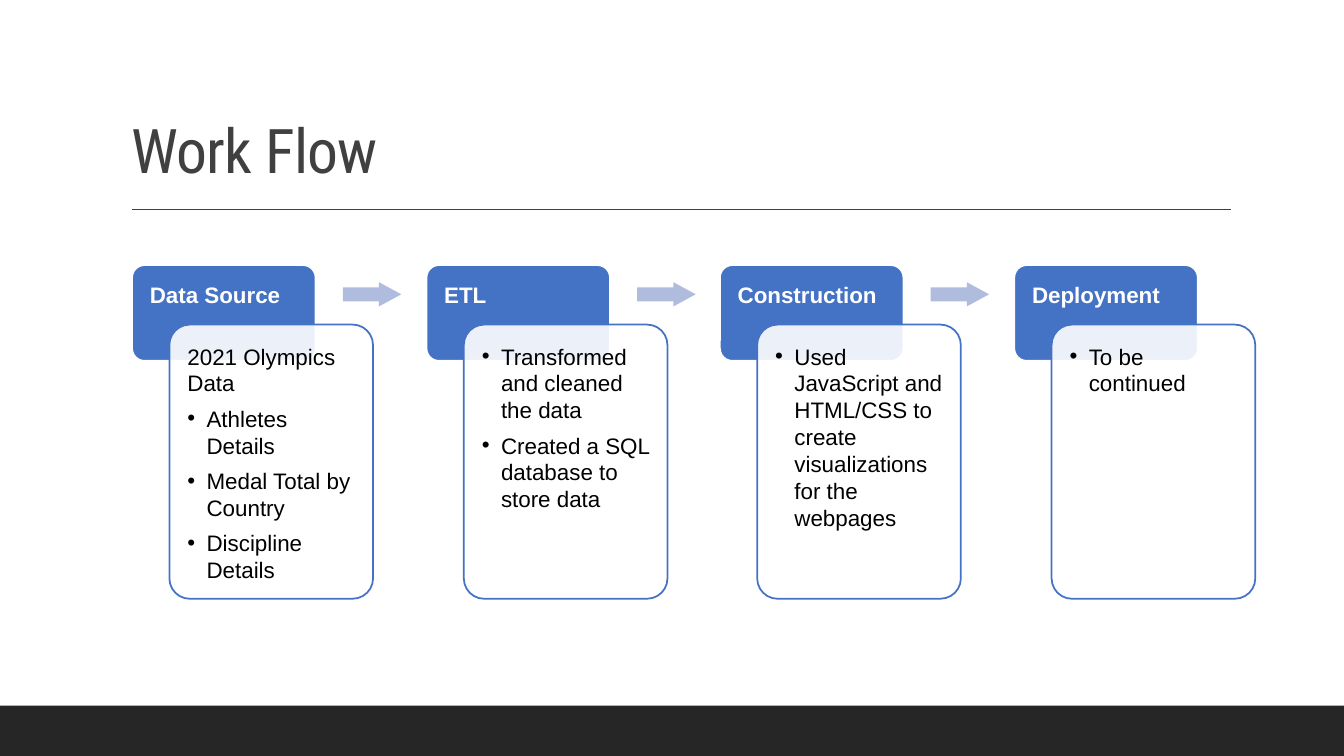
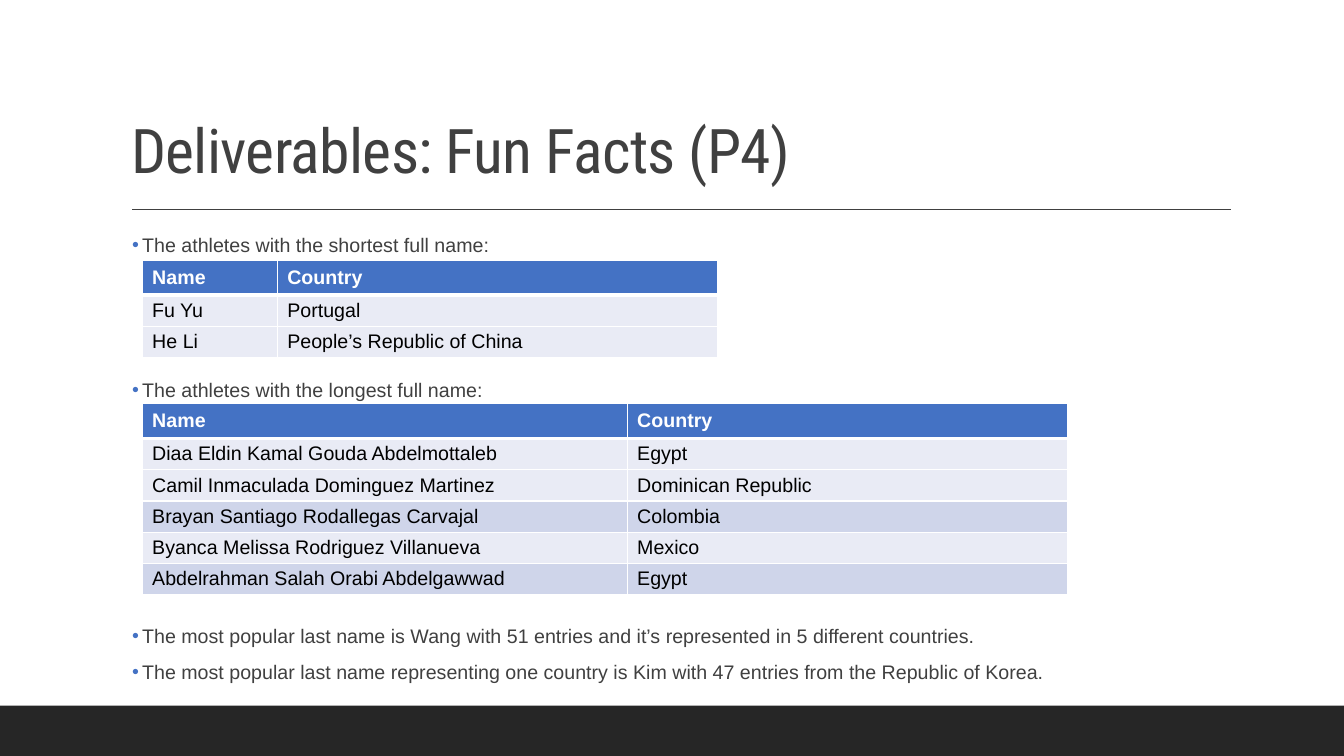
from dataclasses import dataclass

from lxml.etree import SubElement
from pptx import Presentation
from pptx.dml.color import RGBColor
from pptx.enum.shapes import MSO_CONNECTOR, MSO_SHAPE
from pptx.enum.text import MSO_ANCHOR, MSO_AUTO_SIZE, PP_ALIGN
from pptx.oxml.ns import qn
from pptx.util import Emu, Pt


@dataclass(frozen=True)
class Theme:
    accent: str = "4472C4"
    arrow: str = "B0BCDE"
    ink: str = "404040"
    band: str = "262626"
    black: str = "000000"
    white: str = "FFFFFF"
    row_light: str = "E9EBF5"
    row_dark: str = "CFD5EA"
    title_font: str = "Roboto Condensed"
    body_font: str = "Arial"
    title_size: int = 44
    card_size: int = 16
    body_size: int = 14


T = Theme()
SLIDE_W, SLIDE_H = 1333, 750

STEPS = [
    ("Data Source", [("2021 Olympics Data", False), ("Athletes Details", True),
                     ("Medal Total by Country", True), ("Discipline Details", True)]),
    ("ETL", [("Transformed and cleaned the data", True),
             ("Created a SQL database to store data", True)]),
    ("Construction", [("Used JavaScript and HTML/CSS to create visualizations "
                       "for the webpages", True)]),
    ("Deployment", [("To be continued", True)]),
]

# Each fact with the space before it, in points; the wide gaps hold the tables
FACTS = [
    ("The athletes with the shortest full name:", 0),
    ("The athletes with the longest full name:", 84),
    ("The most popular last name is Wang with 51 entries and it’s represented "
     "in 5 different countries.", 155),
    ("The most popular last name representing one country is Kim with 47 entries "
     "from the Republic of Korea.", 6),
]

SHORTEST = [("Name", "Country"), ("Fu Yu", "Portugal"),
            ("He Li", "People’s Republic of China")]
LONGEST = [
    ("Name", "Country"),
    ("Diaa Eldin Kamal Gouda Abdelmottaleb", "Egypt"),
    ("Camil Inmaculada Dominguez Martinez", "Dominican Republic"),
    ("Brayan Santiago Rodallegas Carvajal", "Colombia"),
    ("Byanca Melissa Rodriguez Villanueva", "Mexico"),
    ("Abdelrahman Salah Orabi Abdelgawwad", "Egypt"),
]


# Helpers
def px(n):
    return Emu(n * 9144)


def box(*lengths):
    return [px(n) for n in lengths]


def rgb(color):
    return RGBColor.from_string(color)


def add_run(p, text, size, color, font=T.body_font, bold=False):
    r = p.add_run()
    r.text = text
    r.font.name, r.font.size, r.font.bold = font, Pt(size), bold
    r.font.color.rgb = rgb(color)
    return r


def set_bullet(p, indent, color):
    pPr = p._p.get_or_add_pPr()
    pPr.set("marL", str(px(indent)))
    pPr.set("indent", str(-px(indent)))
    clr = SubElement(pPr, qn("a:buClr"))
    SubElement(clr, qn("a:srgbClr"), val=color)
    SubElement(pPr, qn("a:buFont"), typeface=T.body_font)
    SubElement(pPr, qn("a:buChar"), char="•")


def set_insets(tf, left, top, right, bottom):
    tf.margin_left, tf.margin_top, tf.margin_right, tf.margin_bottom = box(
        left, top, right, bottom)


def add_box(s, kind, bounds, fill, line=None, adjust=()):
    sp = s.shapes.add_shape(kind, *box(*bounds))
    sp.shadow.inherit = False
    for i, value in enumerate(adjust):
        sp.adjustments[i] = value
    sp.fill.solid()
    sp.fill.fore_color.rgb = rgb(fill)
    if line:
        sp.line.color.rgb = rgb(line)
        sp.line.width = Pt(1.25)
    else:
        sp.line.fill.background()
    return sp


def text_frame(sp, insets):
    tf = sp.text_frame
    tf.word_wrap = True
    tf.vertical_anchor = MSO_ANCHOR.TOP
    set_insets(tf, *insets)
    return tf


# Shared frame: title, rule and bottom band
def add_framed_slide(prs, layout, title):
    s = prs.slides.add_slide(prs.slide_layouts[layout])
    add_box(s, MSO_SHAPE.RECTANGLE, (0, 700, SLIDE_W, 50), T.band)
    rule = s.shapes.add_connector(MSO_CONNECTOR.STRAIGHT, *box(131, 208, 1221, 208))
    rule.line.color.rgb = rgb(T.ink)
    rule.line.width = Pt(1)
    SubElement(rule._element.spPr, qn("a:effectLst"))

    sp = s.shapes.title
    sp.left, sp.top, sp.width, sp.height = box(120, 31, 1100, 159)
    tf = sp.text_frame
    tf.auto_size = MSO_AUTO_SIZE.NONE
    tf.vertical_anchor = MSO_ANCHOR.BOTTOM
    p = tf.paragraphs[0]
    p.alignment = PP_ALIGN.LEFT
    p.line_spacing = 0.9
    r = add_run(p, title, T.title_size, T.ink, T.title_font)
    r.font._element.set("spc", "-50")
    return s


# One step of the flow: heading, detail card and arrow to the next step
def add_step(s, x, y, heading, details, has_next):
    if has_next:
        add_box(s, MSO_SHAPE.RIGHT_ARROW, (x + 209, y + 17, 58, 24), T.arrow,
                adjust=(0.58, 0.92))

    tab = add_box(s, MSO_SHAPE.ROUNDED_RECTANGLE, (x, y, 182, 95), T.accent, T.white,
                  adjust=(0.13,))
    p = text_frame(tab, (14, 15, 14, 50)).paragraphs[0]
    p.alignment = PP_ALIGN.LEFT
    p.line_spacing = 0.9
    add_run(p, heading, T.card_size, T.white, bold=True)

    card = add_box(s, MSO_SHAPE.ROUNDED_RECTANGLE, (x + 37, y + 59, 202, 272), T.white,
                   T.accent, adjust=(0.1,))
    color = card._element.spPr.find(qn("a:solidFill"))[0]
    SubElement(color, qn("a:alpha"), val="90000")
    tf = text_frame(card, (12, 12, 12, 12))
    for i, (text, bulleted) in enumerate(details):
        p = tf.add_paragraph() if i else tf.paragraphs[0]
        if bulleted:
            set_bullet(p, 19, T.black)
        p.alignment = PP_ALIGN.LEFT
        p.space_after = Pt(6)
        add_run(p, text, T.card_size, T.black)


# Bulleted facts in the body placeholder
def add_facts(s, bounds):
    sp = s.placeholders[1]
    sp.left, sp.top, sp.width, sp.height = box(*bounds)
    tf = text_frame(sp, (0, 5, 0, 5))
    tf.auto_size = MSO_AUTO_SIZE.NONE
    for i, (text, before) in enumerate(FACTS):
        p = tf.add_paragraph() if i else tf.paragraphs[0]
        set_bullet(p, 10, T.accent)
        p.line_spacing = 1.2
        p.space_before = Pt(before)
        add_run(p, text, T.body_size, T.ink)


def set_borders(cell, top, bottom):
    tcPr = cell._tc.get_or_add_tcPr()
    for side, width in (("L", 1), ("R", 1), ("T", top), ("B", bottom)):
        ln = SubElement(tcPr, qn(f"a:ln{side}"), w=str(Pt(width)))
        fill = SubElement(ln, qn("a:solidFill"))
        SubElement(fill, qn("a:srgbClr"), val=T.white)


def add_names_table(s, x, y, widths, rows, dark_rows=()):
    heights = [35] + [31] * (len(rows) - 1)
    table = s.shapes.add_table(len(rows), len(widths),
                               *box(x, y, sum(widths), sum(heights))).table
    for column, width in zip(table.columns, widths):
        column.width = px(width)
    for i, values in enumerate(rows):
        table.rows[i].height = px(heights[i])
        header = i == 0
        fill = T.accent if header else T.row_dark if i in dark_rows else T.row_light
        for j, text in enumerate(values):
            cell = table.cell(i, j)
            set_borders(cell, 3 if i == 1 else 1, 3 if header else 1)
            cell.fill.solid()
            cell.fill.fore_color.rgb = rgb(fill)
            cell.vertical_anchor = MSO_ANCHOR.MIDDLE
            set_insets(cell, 10, 0, 10, 0)
            add_run(cell.text_frame.paragraphs[0], text, T.body_size,
                    T.white if header else T.black, bold=header)


# Slides
def build_work_flow(prs):
    s = add_framed_slide(prs, 5, "Work Flow")
    left, pitch = 131, 291.67
    for i, (heading, details) in enumerate(STEPS):
        add_step(s, left + round(i * pitch), 263, heading, details, i < len(STEPS) - 1)


def build_fun_facts(prs):
    s = add_framed_slide(prs, 1, "Deliverables: Fun Facts (P4)")
    add_facts(s, (131, 221, 1100, 465))
    add_names_table(s, 141, 258, (134, 437), SHORTEST)
    add_names_table(s, 141, 400, (481, 437), LONGEST, dark_rows=(3, 5))


def main():
    prs = Presentation()
    prs.slide_width, prs.slide_height = box(SLIDE_W, SLIDE_H)
    build_work_flow(prs)
    build_fun_facts(prs)
    prs.save("out.pptx")


if __name__ == "__main__":
    main()
